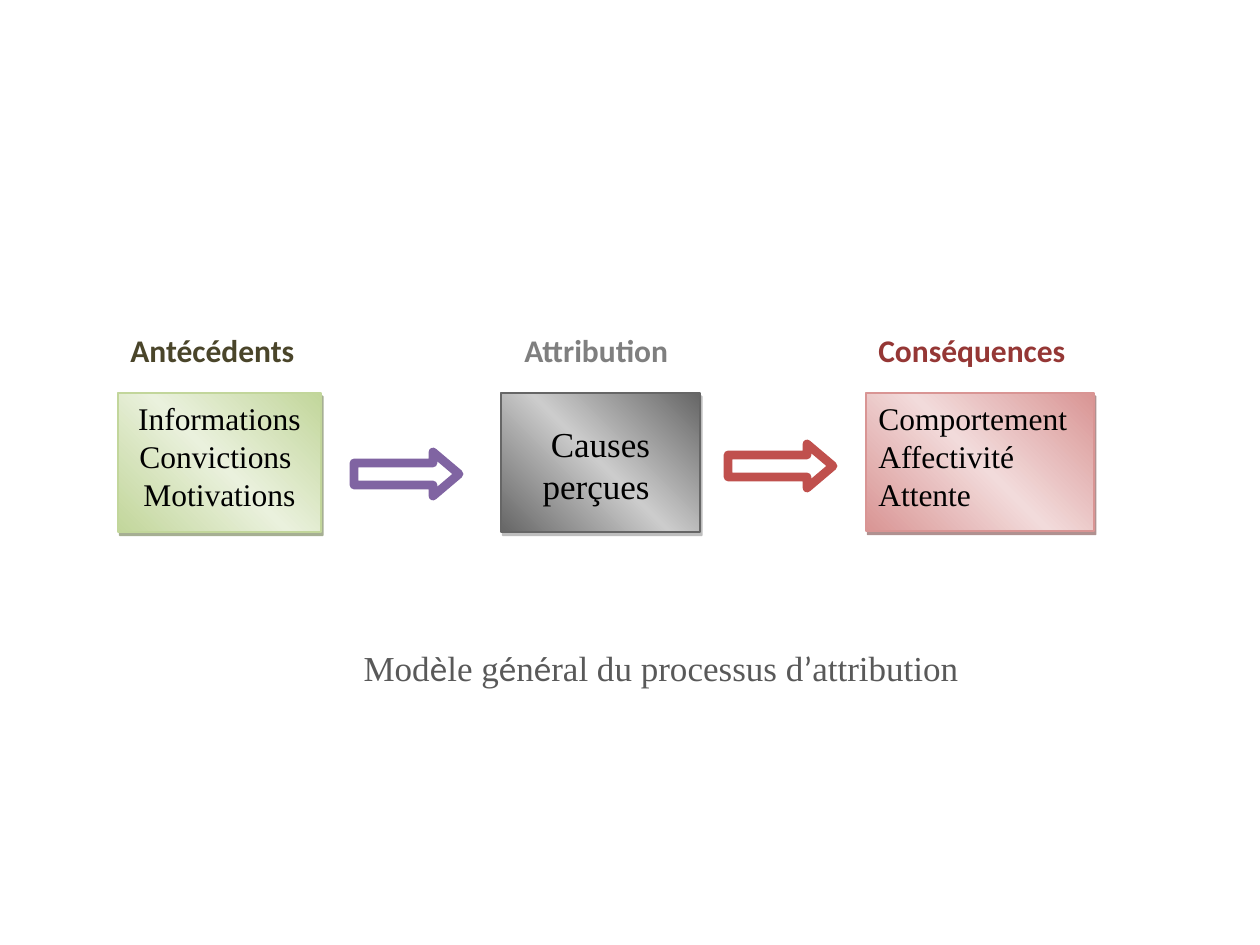
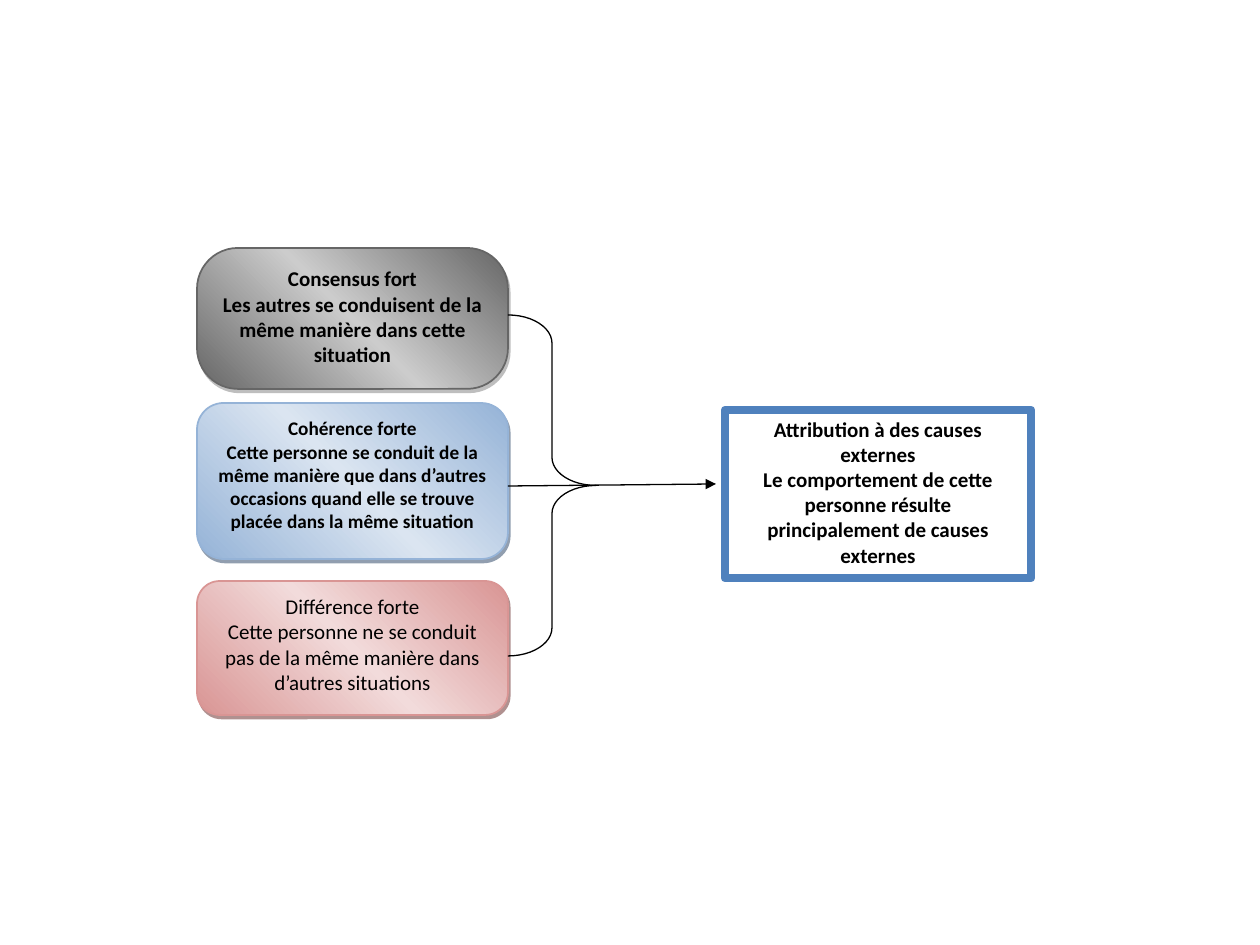
from copy import deepcopy
from dataclasses import dataclass
from itertools import groupby

from lxml.etree import SubElement
from pptx import Presentation
from pptx.dml.color import RGBColor
from pptx.enum.shapes import MSO_CONNECTOR, MSO_SHAPE
from pptx.enum.text import MSO_ANCHOR, PP_ALIGN
from pptx.oxml.ns import qn
from pptx.util import Emu, Pt

EMU_PER_PX = 914400 / 126
SLIDE_WIDTH, SLIDE_HEIGHT = 1260, 945
SERIF, SANS = "Times New Roman", "Calibri"
COLORS = {
    "black": "000000", "white": "FFFFFF", "caption": "595959",
    "olive": "4A452A", "gray": "7F7F7F", "brick": "953735",
    "purple": "8064A2", "red": "C0504D", "blue": "4F81BD",
    "green edge": "C2D69B", "green middle": "EAF1DD", "green shadow": "4E6128",
    "gray edge": "666666", "gray middle": "CCCCCC", "gray shadow": "7F7F7F",
    "red edge": "D99594", "red middle": "F2DBDB", "red shadow": "622423",
    "blue edge": "95B3D7", "blue middle": "DBE5F1", "blue shadow": "243F60",
}


@dataclass(frozen=True)
class Frame:
    left: int
    top: int
    width: int
    height: int


@dataclass(frozen=True)
class TextStyle:
    size: int
    font: str = SANS
    bold: bool = False
    color: str = "black"
    align: PP_ALIGN = PP_ALIGN.CENTER


@dataclass(frozen=True)
class Card:
    frame: Frame
    theme: str
    lines: tuple[str, ...]
    style: TextStyle
    geometry: MSO_SHAPE = MSO_SHAPE.ROUNDED_RECTANGLE
    corner: float | None = None
    top_inset: int = 6


@dataclass(frozen=True)
class Label:
    left: int
    text: str
    color: str


@dataclass(frozen=True)
class Arrow:
    left: int
    top: int
    color: str


LIST_STYLE = TextStyle(18, SERIF)
BOLD_12 = TextStyle(12, bold=True)

MODEL_CARDS = (
    Card(Frame(118, 393, 203, 139), "green",
         ("Informations", "Convictions ", "Motivations"), LIST_STYLE, MSO_SHAPE.RECTANGLE),
    Card(Frame(501, 393, 199, 139), "gray", ("Causes perçues ",),
         TextStyle(20, SERIF), MSO_SHAPE.RECTANGLE, top_inset=30),
    Card(Frame(866, 393, 228, 138), "red", ("Comportement", "Affectivité", "Attente"),
         TextStyle(18, SERIF, align=PP_ALIGN.LEFT), MSO_SHAPE.RECTANGLE),
)
MODEL_LABELS = (
    Label(118, "Antécédents", "olive"),
    Label(512, "Attribution", "gray"),
    Label(866, "Conséquences", "brick"),
)
MODEL_ARROWS = (Arrow(354, 452, "purple"), Arrow(728, 444, "red"))

FACTOR_CARDS = (
    Card(Frame(197, 248, 311, 141), "gray",
         ("Consensus fort", "Les autres se conduisent de la même manière dans cette situation"),
         BOLD_12, corner=0.29),
    Card(Frame(197, 581, 311, 134), "red",
         ("Différence forte",
          "Cette personne ne se conduit pas de la même manière dans d’autres situations"),
         TextStyle(12), corner=0.17),
    Card(Frame(197, 403, 311, 156), "blue",
         ("Cohérence forte",
          "Cette personne se conduit de la même manière que dans d’autres occasions "
          "quand elle se trouve placée dans la même situation"),
         TextStyle(11, bold=True), corner=0.17),
)


def px(length: int) -> Emu:
    return Emu(round(length * EMU_PER_PX))


def rgb(name: str) -> RGBColor:
    return RGBColor.from_string(COLORS[name])


def place(frame: Frame) -> tuple[Emu, Emu, Emu, Emu]:
    return px(frame.left), px(frame.top), px(frame.width), px(frame.height)


def add_span(para, text: str, style: TextStyle, font: str) -> None:
    span = para.add_run()
    span.text = text
    span.font.name = font
    span.font.size = Pt(style.size)
    span.font.bold = style.bold
    span.font.color.rgb = rgb(style.color)


def write_lines(box, lines: tuple[str, ...], style: TextStyle) -> None:
    frame = box.text_frame
    frame.word_wrap = True
    frame.vertical_anchor = MSO_ANCHOR.TOP
    for index, line in enumerate(lines):
        para = frame.add_paragraph() if index else frame.paragraphs[0]
        para.alignment = style.align
        add_span(para, line, style, style.font)


def add_outlined(page, geometry: MSO_SHAPE, frame: Frame, line: str, width: float,
                 fill: str | None = None):
    """Add a shadowless shape, unfilled unless a fill colour is given."""
    shape = page.shapes.add_shape(geometry, *place(frame))
    shape.shadow.inherit = False
    shape.line.color.rgb = rgb(line)
    shape.line.width = Pt(width)
    if fill:
        shape.fill.solid()
        shape.fill.fore_color.rgb = rgb(fill)
    else:
        shape.fill.background()
    return shape


def fill_gradient(shape, theme: str) -> None:
    """Run edge, middle and edge colours from bottom left to top right."""
    shape.fill.gradient()
    shape.fill.gradient_angle = 45
    stop_list = shape._element.spPr.find(".//" + qn("a:gsLst"))
    stop_list.append(deepcopy(stop_list[0]))
    for stop, part, position in zip(shape.fill.gradient_stops,
                                    ("edge", "middle", "edge"), (0, 0.5, 1)):
        stop.color.rgb = rgb(f"{theme} {part}")
        stop.position = position


def add_hard_shadow(shape, theme: str) -> None:
    effects = shape._element.spPr.find(qn("a:effectLst"))
    shadow = SubElement(effects, qn("a:outerShdw"), blurRad="0", dist=str(Pt(2.2)),
                        dir=str(63 * 60000), algn="ctr", rotWithShape="0")
    color = SubElement(shadow, qn("a:srgbClr"), val=COLORS[f"{theme} shadow"])
    SubElement(color, qn("a:alpha"), val="50000")


def add_card(page, card: Card) -> None:
    shape = add_outlined(page, card.geometry, card.frame, f"{card.theme} edge", 1)
    if card.corner is not None:
        shape.adjustments[0] = card.corner
    fill_gradient(shape, card.theme)
    add_hard_shadow(shape, card.theme)
    write_lines(shape, card.lines, card.style)
    shape.text_frame.margin_top = px(card.top_inset)


def add_label(page, label: Label) -> None:
    box = page.shapes.add_textbox(*place(Frame(label.left, 325, 240, 50)))
    write_lines(box, (label.text,),
                TextStyle(18, bold=True, color=label.color, align=PP_ALIGN.LEFT))


def add_block_arrow(page, arrow: Arrow) -> None:
    shape = add_outlined(page, MSO_SHAPE.RIGHT_ARROW, Frame(arrow.left, arrow.top, 105, 44),
                         arrow.color, 5, "white")
    shape.adjustments[0] = 0.5
    shape.adjustments[1] = 0.59


def add_caption(page, text: str) -> None:
    """Add the centred caption, with accents and apostrophe in the sans font."""
    style = TextStyle(20, SERIF, color="caption")
    box = page.shapes.add_textbox(*place(Frame(0, 640, SLIDE_WIDTH, 55)))
    box.text_frame.word_wrap = True
    box.text_frame.vertical_anchor = MSO_ANCHOR.MIDDLE
    para = box.text_frame.paragraphs[0]
    para.alignment = style.align
    para._p.get_or_add_pPr().set("indent", str(px(62)))
    for is_special, letters in groupby(text, lambda letter: letter in "èé’"):
        add_span(para, "".join(letters), style, SANS if is_special else SERIF)


def add_thin_arrow(page, start: tuple[int, int], end: tuple[int, int]) -> None:
    line = page.shapes.add_connector(MSO_CONNECTOR.STRAIGHT, *map(px, start + end))
    line.line.color.rgb = rgb("black")
    line.line.width = Pt(0.75)
    SubElement(line.line._get_or_add_ln(), qn("a:tailEnd"), type="triangle")
    SubElement(line._element.spPr, qn("a:effectLst"))


def build_model_page(page) -> None:
    for card in MODEL_CARDS:
        add_card(page, card)
    for arrow in MODEL_ARROWS:
        add_block_arrow(page, arrow)
    for label in MODEL_LABELS:
        add_label(page, label)
    add_caption(page, "Modèle général du processus d’attribution")


def build_external_causes_page(page) -> None:
    for card in FACTOR_CARDS:
        add_card(page, card)
    brace = add_outlined(page, MSO_SHAPE.RIGHT_BRACE, Frame(508, 315, 88, 341), "black", 0.75)
    brace.adjustments[0] = 0.32
    brace.adjustments[1] = 0.5
    add_thin_arrow(page, (508, 486), (716, 484))
    result = add_outlined(page, MSO_SHAPE.RECTANGLE, Frame(725, 410, 306, 168),
                          "blue", 5, "white")
    write_lines(result, ("Attribution à des causes externes",
                         "Le comportement de cette personne résulte principalement "
                         "de causes externes"), BOLD_12)


def main() -> None:
    deck = Presentation()
    deck.slide_width, deck.slide_height = px(SLIDE_WIDTH), px(SLIDE_HEIGHT)
    blank = deck.slide_layouts[6]
    for build in (build_model_page, build_external_causes_page):
        build(deck.slides.add_slide(blank))
    deck.save("out.pptx")


if __name__ == "__main__":
    main()
